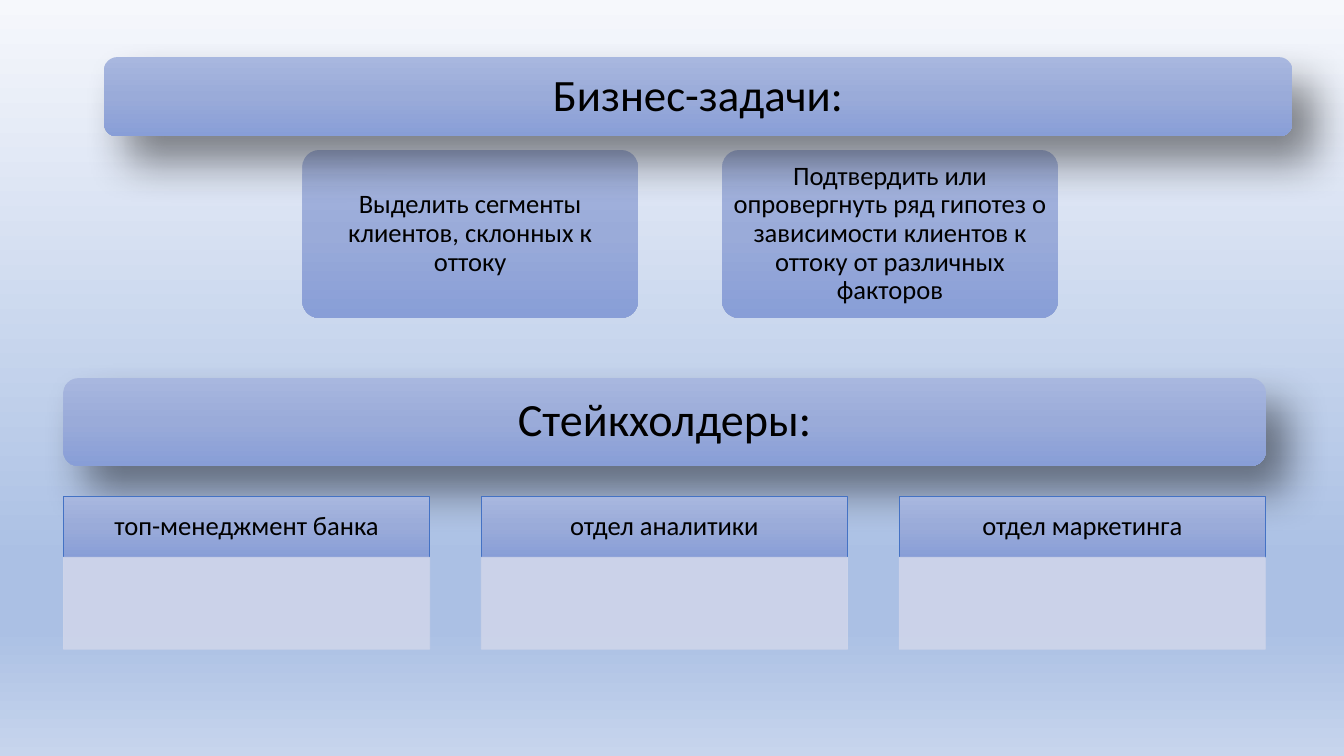
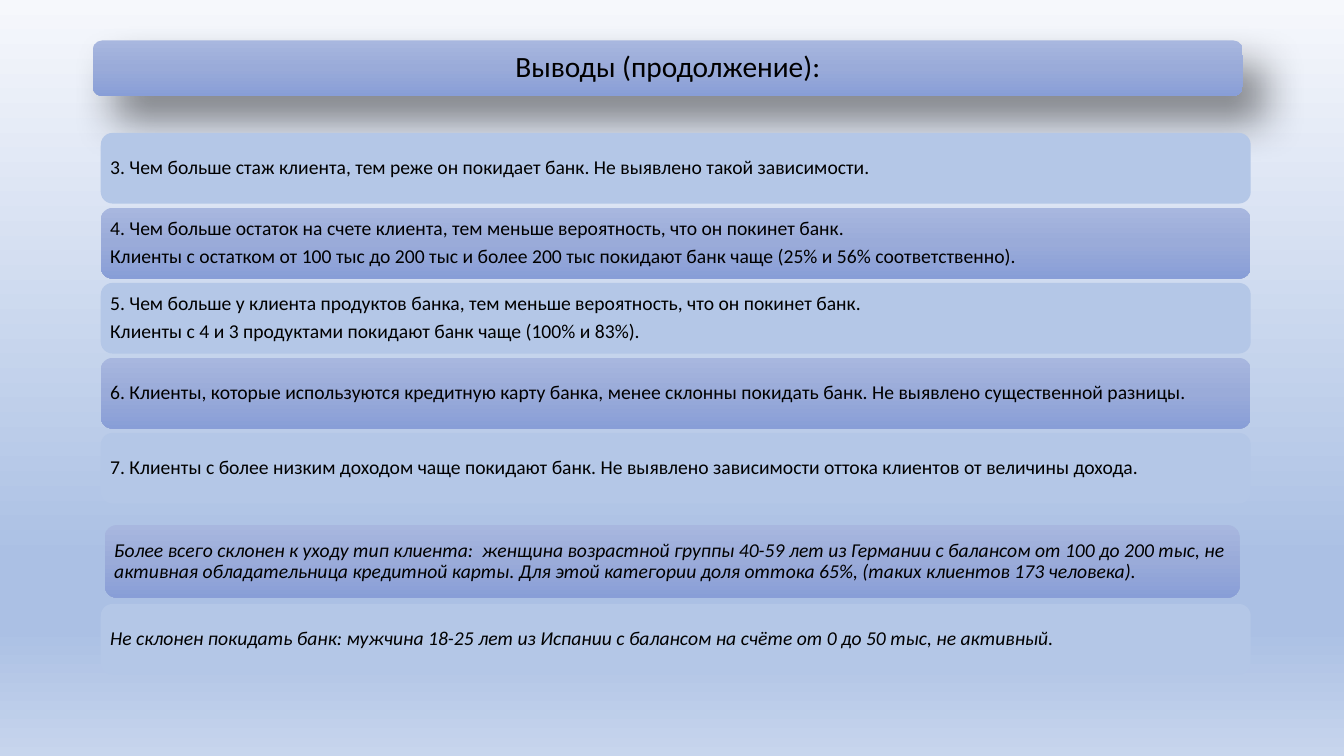
import pptx
import pptx.dml.color
import pptx.enum.shapes
import pptx.enum.text
import pptx.oxml.ns
import pptx.util
from lxml import etree

Cm = pptx.util.Cm
Pt = pptx.util.Pt
Preset = pptx.enum.shapes.MSO_SHAPE
Align = pptx.enum.text.PP_ALIGN

BACKGROUND = [(0, "F6F8FC"), (74, "ABC0E4"), (83, "ABC0E4"), (100, "C7D5ED")]
BLUE = [(0, "A8B7DF"), (50, "9AABD9"), (100, "889ED7")]
PALE = "B4C7E7"
PANEL = "CFD5EA"
OUTLINE = "4472C4"
INK = "000000"

TASKS = [
    "Выделить сегменты клиентов, склонных к оттоку",
    "Подтвердить или опровергнуть ряд гипотез о зависимости клиентов к оттоку от различных факторов",
]
STAKEHOLDERS = ["топ-менеджмент банка", "отдел аналитики", "отдел маркетинга"]
FINDINGS = [
    ["3. Чем больше стаж клиента, тем реже он покидает банк. Не выявлено такой зависимости."],
    [
        "4. Чем больше остаток на счете клиента, тем меньше вероятность, что он покинет банк.",
        "Клиенты с остатком от 100 тыс до 200 тыс и более 200 тыс покидают банк чаще (25% и 56% соответственно).",
    ],
    [
        "5. Чем больше у клиента продуктов банка, тем меньше вероятность, что он покинет банк.",
        "Клиенты с 4 и 3 продуктами покидают банк чаще (100% и 83%).",
    ],
    ["6. Клиенты, которые используются кредитную карту банка, менее склонны покидать банк. "
     "Не выявлено существенной разницы."],
    ["7. Клиенты с более низким доходом чаще покидают банк. "
     "Не выявлено зависимости оттока клиентов от величины дохода."],
]
LEAVING = (
    "Более всего склонен к уходу тип клиента:  женщина возрастной группы 40-59 лет из Германии "
    "с балансом от 100 до 200 тыс, не активная обладательница кредитной карты. "
    "Для этой категории доля оттока 65%, (таких клиентов 173 человека)."
)
STAYING = ("Не склонен покидать банк: мужчина 18-25 лет из Испании "
           "с балансом на счёте от 0 до 50 тыс, не активный.")


def rgb(colour):
    """Turn a hex string into a colour value."""
    return pptx.dml.color.RGBColor.from_string(colour)


def assign(target, values):
    """Set every attribute named in a dict of format values."""
    for attribute, value in values.items():
        setattr(target, attribute, value)


def add_xml(parent, tag, **attributes):
    """Append a drawing element with attributes and return it."""
    return etree.SubElement(parent, pptx.oxml.ns.qn(tag), attributes)


def paint_gradient(fill, owner, stops):
    """Give a fill a top-to-bottom gradient with any number of stops."""
    fill.gradient()
    fill.gradient_angle = 270
    stop_list = owner.xpath(".//a:gsLst")[0]
    stop_list.clear()
    for position, colour in stops:
        stop = add_xml(stop_list, "a:gs", pos=str(position * 1000))
        add_xml(stop, "a:srgbClr", val=str(rgb(colour)))


class Deck:
    """Holds the shared style and the current slide."""

    def __init__(self):
        """Set the slide size and the shared background."""
        self.presentation = pptx.Presentation()
        assign(self.presentation, {"slide_width": Cm(33.87), "slide_height": Cm(19.05)})
        master = self.presentation.slide_master
        paint_gradient(master.background.fill, master._element, BACKGROUND)
        self.slide = None

    def new_slide(self):
        """Start a slide that has only a title placeholder."""
        self.slide = self.presentation.slides.add_slide(self.presentation.slide_layouts[5])

    def set_text(self, shape, lines, size, align=Align.CENTER, italic=False, inset=0.15):
        """Fill a shape with evenly spaced paragraphs."""
        frame = shape.text_frame
        assign(frame, {
            "word_wrap": True,
            "auto_size": pptx.enum.text.MSO_AUTO_SIZE.NONE,
            "vertical_anchor": pptx.enum.text.MSO_ANCHOR.MIDDLE,
            "margin_left": Cm(inset), "margin_right": Cm(inset),
            "margin_top": Cm(inset), "margin_bottom": Cm(inset),
        })
        frame.text = "\n".join(lines)
        for paragraph in frame.paragraphs:
            assign(paragraph, {"alignment": align, "line_spacing": 0.9,
                               "space_before": Pt(0), "space_after": Pt(0.35 * size)})
            font = paragraph.runs[0].font
            assign(font, {"name": "Calibri", "size": Pt(size), "italic": italic})
            font.color.rgb = rgb(INK)

    def block(self, box, preset=Preset.ROUNDED_RECTANGLE, colour=None, outline=None):
        """Draw a flat or gradient block without a shadow."""
        shape = self.slide.shapes.add_shape(preset, *map(Cm, box))
        shape.shadow.inherit = False
        if colour:
            shape.fill.solid()
            shape.fill.fore_color.rgb = rgb(colour)
        else:
            paint_gradient(shape.fill, shape._element.spPr, BLUE)
        if outline:
            shape.line.color.rgb = rgb(outline)
            shape.line.width = Pt(0.5)
        else:
            shape.line.fill.background()
        return shape

    def banner(self, box):
        """Draw a heading bar with a soft shadow."""
        shape = self.block(box)
        effects = shape._element.spPr.find(pptx.oxml.ns.qn("a:effectLst"))
        shadow = add_xml(effects, "a:outerShdw", blurRad=str(Pt(30)), dist=str(Pt(23)),
                         dir="3000000", algn="tl", rotWithShape="0")
        add_xml(add_xml(shadow, "a:srgbClr", val=INK), "a:alpha", val="45000")
        return shape

    def title(self, text, box, size):
        """Place the slide title on a heading bar."""
        self.banner(box)
        heading = self.slide.shapes.title
        assign(heading, dict(zip(("left", "top", "width", "height"), map(Cm, box))))
        self.set_text(heading, [text], size)
        self.slide.shapes._spTree.append(heading._element)

    def heading(self, text, box, size):
        """Put a section heading on a bar."""
        self.set_text(self.banner(box), [text], size)

    def task(self, text, box):
        """Draw a rounded card with centred text."""
        card = self.block(box)
        card.adjustments[0] = 0.1
        self.set_text(card, [text], 19, inset=0.1)

    def stakeholder(self, text, left, top, width):
        """Draw a labelled column with an empty translucent panel."""
        head_height, panel_height = 1.52, 2.32
        head = self.block((left, top, width, head_height), Preset.RECTANGLE, outline=OUTLINE)
        self.set_text(head, [text], 19)
        panel = self.block((left, top + head_height, width, panel_height),
                           Preset.RECTANGLE, PANEL, PANEL)
        for colour in panel._element.spPr.xpath(".//a:srgbClr"):
            add_xml(colour, "a:alpha", val="90000")

    def finding(self, lines, box, colour=None, italic=False):
        """Draw a full-width row with left-aligned text."""
        self.set_text(self.block(box, colour=colour), lines, 14, Align.LEFT, italic)


def build_tasks(deck):
    """Build the slide of tasks and stakeholders."""
    deck.new_slide()
    deck.heading("Стейкхолдеры:", (1.6, 9.53, 30.3, 2.21), 33)
    for index, text in enumerate(TASKS):
        deck.task(text, (7.62 + index * 10.58, 3.78, 8.46, 4.23))
    deck.title("Бизнес-задачи:", (2.62, 1.44, 29.95, 2), 32)
    for index, text in enumerate(STAKEHOLDERS):
        deck.stakeholder(text, 1.6 + index * 10.53, 12.52, 9.23)


def build_findings(deck):
    """Build the slide of findings."""
    deck.new_slide()
    left, width, height = 2.54, 28.98, 1.78
    deck.title("Выводы (продолжение):", (2.34, 1.02, width, 1.4), 21)
    for index, lines in enumerate(FINDINGS):
        colour = None if index % 2 else PALE
        deck.finding(lines, (left, 3.35 + index * 1.89, width, height), colour)
    deck.finding([LEAVING], (2.64, 13.23, 28.6, 1.83), italic=True)
    deck.finding([STAYING], (left, 15.22, width, height), PALE, italic=True)


def main():
    """Build and save the presentation."""
    deck = Deck()
    build_tasks(deck)
    build_findings(deck)
    deck.presentation.save("out.pptx")


if __name__ == "__main__":
    main()
